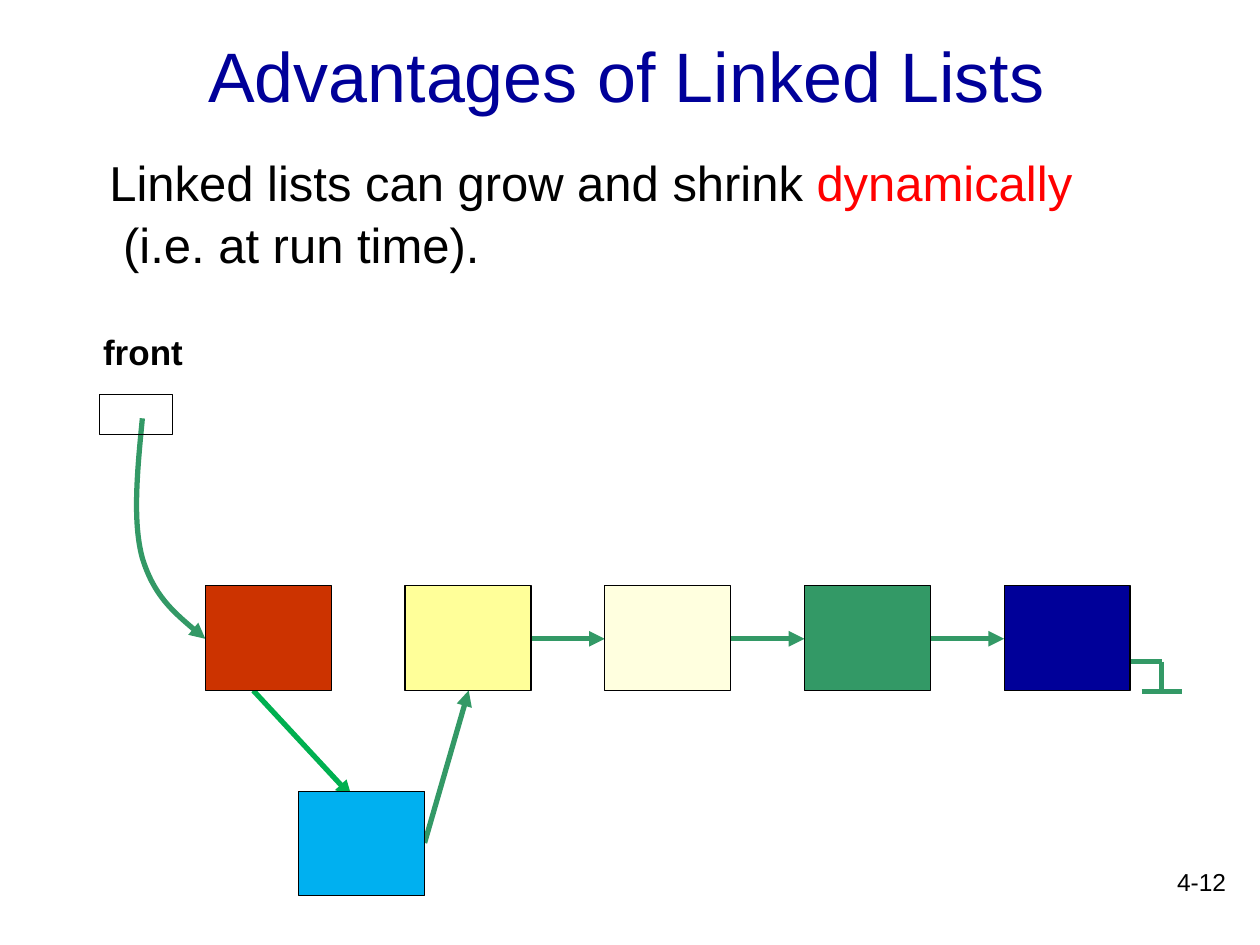
import pptx
import pptx.util
import pptx.dml.color
import pptx.enum.shapes
import pptx.enum.text
import pptx.oxml
import pptx.oxml.ns
from pptx.util import Inches

GREEN = "339966"
NODE_WIDTH, NODE_HEIGHT = 1, 0.83
NODE_TOP, NODE_MIDDLE = 4.65, 5.07
FIRST_LEFT, NODE_STEP = 1.63, 1.585


def color(value):
    return pptx.dml.color.RGBColor.from_string(value)


def style_line(shape, line_color, width, arrow=False):
    """Set the outline, drop any shadow and optionally end in an arrowhead."""
    shape.line.color.rgb = color(line_color)
    shape.line.width = pptx.util.Pt(width)
    properties = shape._element.spPr
    if properties.find(pptx.oxml.ns.qn("a:effectLst")) is None:
        properties.append(pptx.oxml.parse_xml(f"<a:effectLst {pptx.oxml.ns.nsdecls('a')}/>"))
    if arrow:
        shape.line._get_or_add_ln().append(
            pptx.oxml.parse_xml(f"<a:tailEnd {pptx.oxml.ns.nsdecls('a')} type='triangle'/>"))


presentation = pptx.Presentation()
presentation.slide_width, presentation.slide_height = Inches(10), Inches(7.5)
slide = presentation.slides.add_slide(presentation.slide_layouts[6])
shapes = slide.shapes

# Texts: box, size, bold, alignment, anchor, paragraphs of (text, color) runs
align = pptx.enum.text.PP_ALIGN
anchor = pptx.enum.text.MSO_ANCHOR
texts = [
    ((7.75, 6.83, 2.08, 0.5), 14, False, align.RIGHT, anchor.TOP, [[("4-12", "000000")]]),
    ((0.72, 0.08, 8.5, 1.02), 40, False, align.CENTER, anchor.MIDDLE,
     [[("Advantages of Linked Lists", "000099")]]),
    ((0.72, 2.57, 1, 0.43), 20, True, align.LEFT, anchor.TOP, [[("front", "000000")]]),
    ((0.77, 1.14, 7.94, 1.04), 28, False, align.LEFT, anchor.TOP,
     [[("Linked lists can grow and shrink ", "000000"), ("dynamically", "FF0000")],
      [("(i.e. at run time).", "000000")]]),
]
for box, size, bold, alignment, vertical, paragraphs in texts:
    frame = shapes.add_textbox(*map(Inches, box)).text_frame
    frame.word_wrap = True
    frame.vertical_anchor = vertical
    for index, runs in enumerate(paragraphs):
        paragraph = frame.add_paragraph() if index else frame.paragraphs[0]
        paragraph.alignment = alignment
        if len(paragraphs) > 1:
            paragraph.line_spacing = 1.05
        if index:
            paragraph._p.get_or_add_pPr().set("marL", str(Inches(0.11)))
        for text, text_color in runs:
            run = paragraph.add_run()
            run.text = text
            run.font.name = "Arial"
            run.font.size = pptx.util.Pt(size)
            run.font.bold = bold
            run.font.color.rgb = color(text_color)

# Curve from the front pointer to the first node: start, then two cubic segments
curve_points = [(1.13, 3.32), (1.09, 3.73), (1.05, 4.14), (1.13, 4.43),
                (1.22, 4.72), (1.42, 4.9), (FIRST_LEFT, NODE_MIDDLE)]
start, *controls = [(Inches(x), Inches(y)) for x, y in curve_points]
builder = shapes.build_freeform(*start)
builder.add_line_segments(controls, close=False)
curve = builder.convert_to_shape()
curve.shadow.inherit = False
curve.fill.background()
style_line(curve, GREEN, 3, arrow=True)
segments = list(curve._element.iter(pptx.oxml.ns.qn("a:lnTo")))
for first in range(0, len(segments), 3):
    cubic = pptx.oxml.parse_xml(f"<a:cubicBezTo {pptx.oxml.ns.nsdecls('a')}/>")
    segments[first].addprevious(cubic)
    for segment in segments[first:first + 3]:
        cubic.append(segment[0])
        segment.getparent().remove(segment)

# Links between nodes: start, end, color, arrow
node_lefts = [FIRST_LEFT + NODE_STEP * index for index in range(5)]
links = [((2.01, 5.48), (2.79, 6.32), "00B050", True),
         ((3.37, 6.69), (3.72, 5.48), GREEN, True)]
for left, next_left in zip(node_lefts[1:], node_lefts[2:]):
    links.append(((left + NODE_WIDTH, NODE_MIDDLE), (next_left, NODE_MIDDLE), GREEN, True))
# Null terminator after the last node
links += [((8.98, 5.25), (9.22, 5.25), GREEN, False),
          ((9.22, 5.25), (9.22, 5.49), GREEN, False),
          ((9.06, 5.49), (9.38, 5.49), GREEN, False)]
for begin, end, link_color, arrow in links:
    link = shapes.add_connector(pptx.enum.shapes.MSO_CONNECTOR.STRAIGHT,
                                *map(Inches, begin + end))
    style_line(link, link_color, 3, arrow)

# Front pointer, list nodes and the inserted node
boxes = [((0.79, 3.13, 0.58, 0.32), None)]
node_colors = ["CC3300", "FFFF99", "FFFFDF", GREEN, "000099"]
for left, fill in zip(node_lefts, node_colors):
    boxes.append(((left, NODE_TOP, NODE_WIDTH, NODE_HEIGHT), fill))
boxes.append(((2.37, 6.28, NODE_WIDTH, NODE_HEIGHT), "00B0F0"))
for box, fill in boxes:
    rectangle = shapes.add_shape(pptx.enum.shapes.MSO_SHAPE.RECTANGLE, *map(Inches, box))
    rectangle.shadow.inherit = False
    if fill:
        rectangle.fill.solid()
        rectangle.fill.fore_color.rgb = color(fill)
    else:
        rectangle.fill.background()
    style_line(rectangle, "000000", 0.75)

presentation.save("out.pptx")
